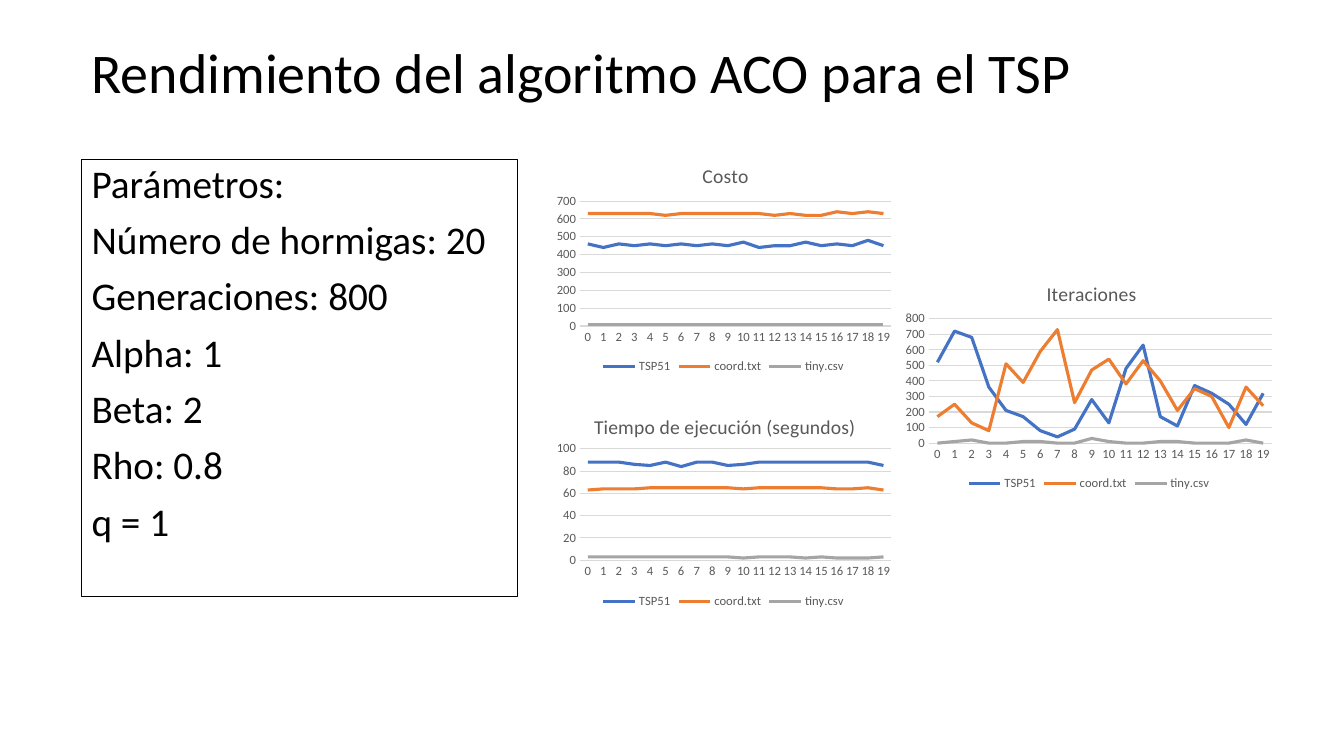
"""Build the slide on the performance of the ACO algorithm."""
import lxml.etree
import pptx
import pptx.chart.data
import pptx.dml.color
import pptx.enum.chart
import pptx.enum.shapes
import pptx.enum.text
import pptx.oxml.ns
import pptx.util

Inches, Pt = pptx.util.Inches, pptx.util.Pt
FACE, BLACK, GREY, RULE = "Calibri", "000000", "595959", "D9D9D9"
LINES = {"TSP51": "4472C4", "coord.txt": "ED7D31", "tiny.csv": "A5A5A5"}
PARAMS = ["Parámetros:", "Número de hormigas: 20", "Generaciones: 800",
          "Alpha: 1", "Beta: 2", "Rho: 0.8", "q = 1"]
CHARTS = [
    {"name": "Costo", "at": (5.44, 1.41, 3.47, 2.34), "top": 700, "step": 100,
     "head": {"x": 0.43, "y": 0.07},
     "plot": {"x": 0.09, "y": 0.25, "w": 0.89, "h": 0.53},
     "rows": [
         [460, 440, 460, 450, 460, 450, 460, 450, 460, 450,
          470, 440, 450, 450, 470, 450, 460, 450, 480, 450],
         [630, 630, 630, 630, 630, 620, 630, 630, 630, 630,
          630, 630, 620, 630, 620, 620, 640, 630, 640, 630],
         [10] * 20]},
    {"name": "Tiempo de ejecución (segundos)", "at": (5.44, 3.91, 3.47, 2.17),
     "top": 100, "step": 20, "head": {"x": 0.12, "y": 0.07},
     "plot": {"x": 0.09, "y": 0.25, "w": 0.89, "h": 0.51},
     "rows": [
         [88, 88, 88, 86, 85, 88, 84, 88, 88, 85,
          86, 88, 88, 88, 88, 88, 88, 88, 88, 85],
         [63, 64, 64, 64, 65, 65, 65, 65, 65, 65,
          64, 65, 65, 65, 65, 65, 64, 64, 65, 63],
         [3, 3, 3, 3, 3, 3, 3, 3, 3, 3, 2, 3, 3, 3, 2, 3, 2, 2, 2, 3]]},
    {"name": "Iteraciones", "at": (8.91, 2.58, 3.78, 2.33), "top": 800, "step": 100,
     "head": {"x": 0.38, "y": 0.07},
     "plot": {"x": 0.08, "y": 0.25, "w": 0.9, "h": 0.53},
     "rows": [
         [520, 720, 680, 360, 210, 170, 80, 40, 90, 280,
          130, 480, 630, 170, 110, 370, 320, 250, 120, 320],
         [170, 250, 130, 80, 510, 390, 590, 730, 260, 470,
          540, 380, 530, 400, 210, 350, 300, 100, 360, 240],
         [0, 10, 20, 0, 0, 10, 10, 0, 0, 30,
          10, 0, 0, 10, 10, 0, 0, 0, 20, 0]]},
]


def apply(item, **values):
    """Set each given value on the item."""
    for name, value in values.items():
        setattr(item, name, value)


def tint(fmt, code):
    """Give a colour format a hex colour."""
    fmt.rgb = pptx.dml.color.RGBColor.from_string(code)


def style(font, size, code):
    """Set the face, size and colour of a font."""
    apply(font, name=FACE, size=Pt(size), bold=False)
    font.fill.solid()
    tint(font.fill.fore_color, code)


def stroke(line, code, width):
    """Set the colour and width of a line."""
    line.width = Pt(width)
    line.fill.solid()
    tint(line.fill.fore_color, code)


def write(frame, texts, size):
    """Fill a text frame with one paragraph per text."""
    apply(frame, word_wrap=True, vertical_anchor=pptx.enum.text.MSO_ANCHOR.TOP)
    for num, text in enumerate(texts):
        para = frame.add_paragraph() if num else frame.paragraphs[0]
        apply(para, line_spacing=0.9, space_before=Pt(10),
              alignment=pptx.enum.text.PP_ALIGN.LEFT)
        run = para.add_run()
        run.text = text
        style(run.font, size, BLACK)


def add_head(slide, text):
    """Add the heading of the slide."""
    box = slide.shapes.add_textbox(*map(Inches, (0.81, 0.4, 10.78, 0.85)))
    write(box.text_frame, [text], 40)


def add_panel(slide, texts):
    """Add the framed list of parameters."""
    kind = pptx.enum.shapes.MSO_SHAPE.RECTANGLE
    box = slide.shapes.add_shape(kind, *map(Inches, (0.81, 1.58, 4.32, 4.34)))
    box.shadow.inherit = False
    box.fill.background()
    stroke(box.line, BLACK, 0.75)
    write(box.text_frame, texts, 28)


def place(node, spot, index):
    """Fix the layout of a chart part by fractions of the chart."""
    qn = pptx.oxml.ns.qn
    for old in node.findall(qn("c:layout")):
        node.remove(old)
    layout = lxml.etree.Element(qn("c:layout"))
    manual = lxml.etree.SubElement(layout, qn("c:manualLayout"))
    items = {"xMode": "edge", "yMode": "edge", **spot}
    if "w" in spot:
        items = {"layoutTarget": "inner", **items}
    for name, value in items.items():
        lxml.etree.SubElement(manual, qn("c:" + name)).set("val", str(value))
    node.insert(index, layout)


def set_axes(chart, top, step):
    """Format both axes and the grid."""
    enum = pptx.enum.chart
    for axis in (chart.category_axis, chart.value_axis):
        apply(axis, major_tick_mark=enum.XL_TICK_MARK.NONE,
              minor_tick_mark=enum.XL_TICK_MARK.NONE)
        style(axis.tick_labels.font, 9, GREY)
    stroke(chart.category_axis.format.line, RULE, 0.75)
    values = chart.value_axis
    apply(values, minimum_scale=0, maximum_scale=top, major_unit=step,
          has_major_gridlines=True)
    values.format.line.fill.background()
    stroke(values.major_gridlines.format.line, RULE, 0.75)


def add_graph(slide, name, at, top, step, head, plot, rows):
    """Add a line chart with a title and a legend."""
    enum = pptx.enum.chart
    data = pptx.chart.data.CategoryChartData()
    data.categories = [str(num) for num in range(20)]
    for label, row in zip(LINES, rows):
        data.add_series(label, row)
    frame = slide.shapes.add_chart(enum.XL_CHART_TYPE.LINE, *map(Inches, at), data)
    chart = frame.chart
    style(chart.font, 10, BLACK)
    apply(chart, has_title=True, has_legend=True)
    title = chart.chart_title
    title.text_frame.text = name
    style(title.text_frame.paragraphs[0].runs[0].font, 14, GREY)
    title.include_in_layout = False
    place(title._element, head, 1)
    place(chart._chartSpace.chart.plotArea, plot, 0)
    apply(chart.legend, position=enum.XL_LEGEND_POSITION.BOTTOM,
          include_in_layout=False)
    style(chart.legend.font, 9, GREY)
    set_axes(chart, top, step)
    chart.plots[0].vary_by_categories = False
    for line, code in zip(chart.plots[0].series, LINES.values()):
        line.smooth = False
        stroke(line.format.line, code, 2.25)


def main():
    """Build and save the slide."""
    deck = pptx.Presentation()
    apply(deck, slide_width=Inches(13.33), slide_height=Inches(7.5))
    slide = deck.slides.add_slide(deck.slide_layouts[6])
    add_head(slide, "Rendimiento del algoritmo ACO para el TSP")
    add_panel(slide, PARAMS)
    for graph in CHARTS:
        add_graph(slide, **graph)
    deck.save("out.pptx")


if __name__ == "__main__":
    main()
